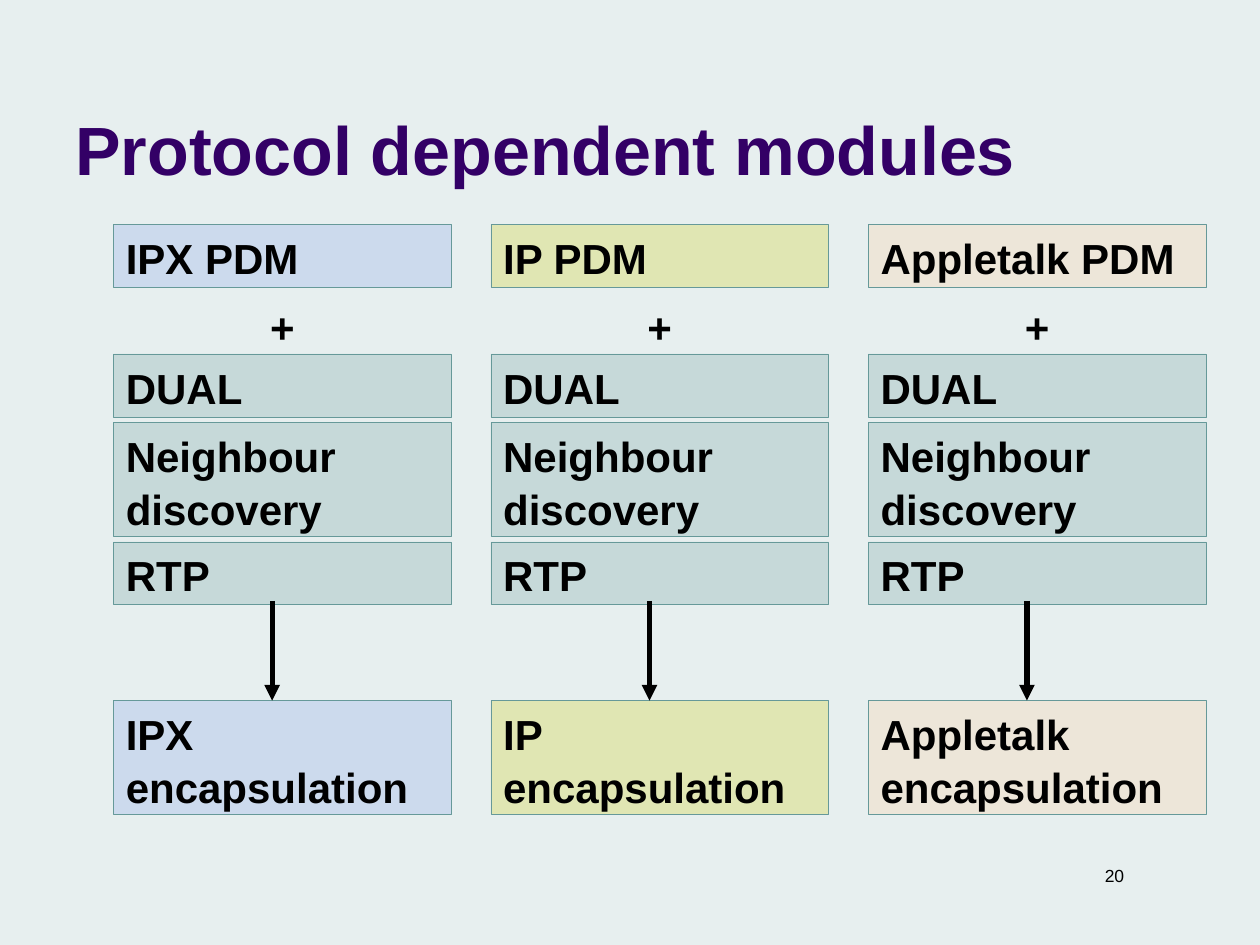
from pptx import Presentation
from pptx.dml.color import RGBColor
from pptx.enum.shapes import MSO_CONNECTOR, MSO_SHAPE
from pptx.enum.text import MSO_ANCHOR, PP_ALIGN
from pptx.oxml.ns import qn
from pptx.util import Inches, Pt
from lxml import etree

RECTANGLE = MSO_SHAPE.RECTANGLE
STRAIGHT = MSO_CONNECTOR.STRAIGHT
TOP, BOTTOM = MSO_ANCHOR.TOP, MSO_ANCHOR.BOTTOM
LEFT, CENTER, RIGHT = PP_ALIGN.LEFT, PP_ALIGN.CENTER, PP_ALIGN.RIGHT

WIDTH, HEIGHT = 10, 7.5
COLUMNS, ROWS = 100, 75
BOX_WIDTH, SINGLE, DOUBLE, STACK_GAP = 26.8, 5, 9, 0.45
FIRST_COLUMN, COLUMN_PITCH, ARROW_OFFSET = 9, 29.95, 12.6
MODULE_ROW, PLUS_ROW, STACK_ROW = 17.8, 23.3, 28.1
ARROW_ROW, ENCAPSULATION_ROW = 47.7, 55.6
SHARED_LAYERS = [("DUAL", SINGLE), ("Neighbour discovery", DOUBLE), ("RTP", SINGLE)]
PROTOCOLS = [
    ("IPX PDM", "IPX encapsulation", "7E9CE8"),
    ("IP PDM", "IP encapsulation", "CCCC00"),
    ("Appletalk PDM", "Appletalk\vencapsulation", "FFCC99"),
]


def color(value):
    return RGBColor.from_string(value)


def across(columns):
    return Inches(columns * WIDTH / COLUMNS)


def down(rows):
    return Inches(rows * HEIGHT / ROWS)


class ModuleSlide:
    font_name = "Arial"
    text_color = "000000"
    accent = "669999"
    body_font = {"size": Pt(24), "bold": True}
    body_spacing = 1.04

    def __init__(self, presentation, background):
        self.slide = presentation.slides.add_slide(presentation.slide_layouts[6])
        fill = self.slide.background.fill
        fill.solid()
        fill.fore_color.rgb = color(background)

    def set_text(self, shape, text, font, text_color, align, anchor, spacing):
        frame = shape.text_frame
        frame_format = {
            "word_wrap": True,
            "vertical_anchor": anchor,
            "margin_left": Inches(0.1),
            "margin_right": Inches(0.1),
            "margin_top": Inches(0.05),
            "margin_bottom": Inches(0.05),
        }
        for name, value in frame_format.items():
            setattr(frame, name, value)
        paragraph = frame.paragraphs[0]
        paragraph.text = text
        paragraph.alignment = align
        paragraph.line_spacing = spacing
        for run in paragraph.runs:
            for name, value in {"name": self.font_name, **font}.items():
                setattr(run.font, name, value)
            run.font.color.rgb = color(text_color)

    def label(self, text, left, top, width, height, font=body_font,
              text_color=text_color, align=LEFT, anchor=TOP, spacing=1.0):
        shape = self.slide.shapes.add_textbox(
            across(left), down(top), across(width), down(height))
        self.set_text(shape, text, font, text_color, align, anchor, spacing)

    def box(self, text, left, top, height, fill_color):
        shape = self.slide.shapes.add_shape(
            RECTANGLE, across(left), down(top), across(BOX_WIDTH), down(height))
        shape.shadow.inherit = False
        shape.fill.solid()
        shape.fill.fore_color.rgb = color(fill_color)
        fill_element = shape._element.spPr.find(qn("a:solidFill"))
        etree.SubElement(fill_element[0], qn("a:alpha"), val="25000")
        shape.line.color.rgb = color(self.accent)
        shape.line.width = Pt(0.25)
        self.set_text(shape, text, self.body_font, self.text_color, LEFT, TOP,
                      self.body_spacing)

    def arrow(self, column, start_row, end_row):
        connector = self.slide.shapes.add_connector(
            STRAIGHT, across(column), down(start_row), across(column), down(end_row))
        connector.line.color.rgb = color(self.text_color)
        connector.line.width = Pt(3)
        properties = connector._element.spPr
        etree.SubElement(properties.find(qn("a:ln")), qn("a:tailEnd"), type="triangle")
        etree.SubElement(properties, qn("a:effectLst"))

    def protocol_column(self, left, module, encapsulation, fill_color):
        self.box(module, left, MODULE_ROW, SINGLE, fill_color)
        self.label("+", left, PLUS_ROW, BOX_WIDTH, SINGLE, align=CENTER,
                   spacing=self.body_spacing)
        top = STACK_ROW
        for text, height in SHARED_LAYERS:
            self.box(text, left, top, height, self.accent)
            top += height + STACK_GAP
        self.box(encapsulation, left, ENCAPSULATION_ROW, DOUBLE, fill_color)
        self.arrow(left + ARROW_OFFSET, ARROW_ROW, ENCAPSULATION_ROW)


def main():
    presentation = Presentation()
    presentation.slide_width = Inches(WIDTH)
    presentation.slide_height = Inches(HEIGHT)
    page = ModuleSlide(presentation, "E7EFEF")
    page.label("Protocol dependent modules", 5, 1.3, 82.5, 14.2,
               {"size": Pt(39), "bold": True}, "330066", anchor=BOTTOM)
    for index, protocol in enumerate(PROTOCOLS):
        page.protocol_column(FIRST_COLUMN + index * COLUMN_PITCH, *protocol)
    page.label("20", 69.7, 68.2, 20.5, 2.7, {"size": Pt(10)}, align=RIGHT)
    presentation.save("out.pptx")


if __name__ == "__main__":
    main()
